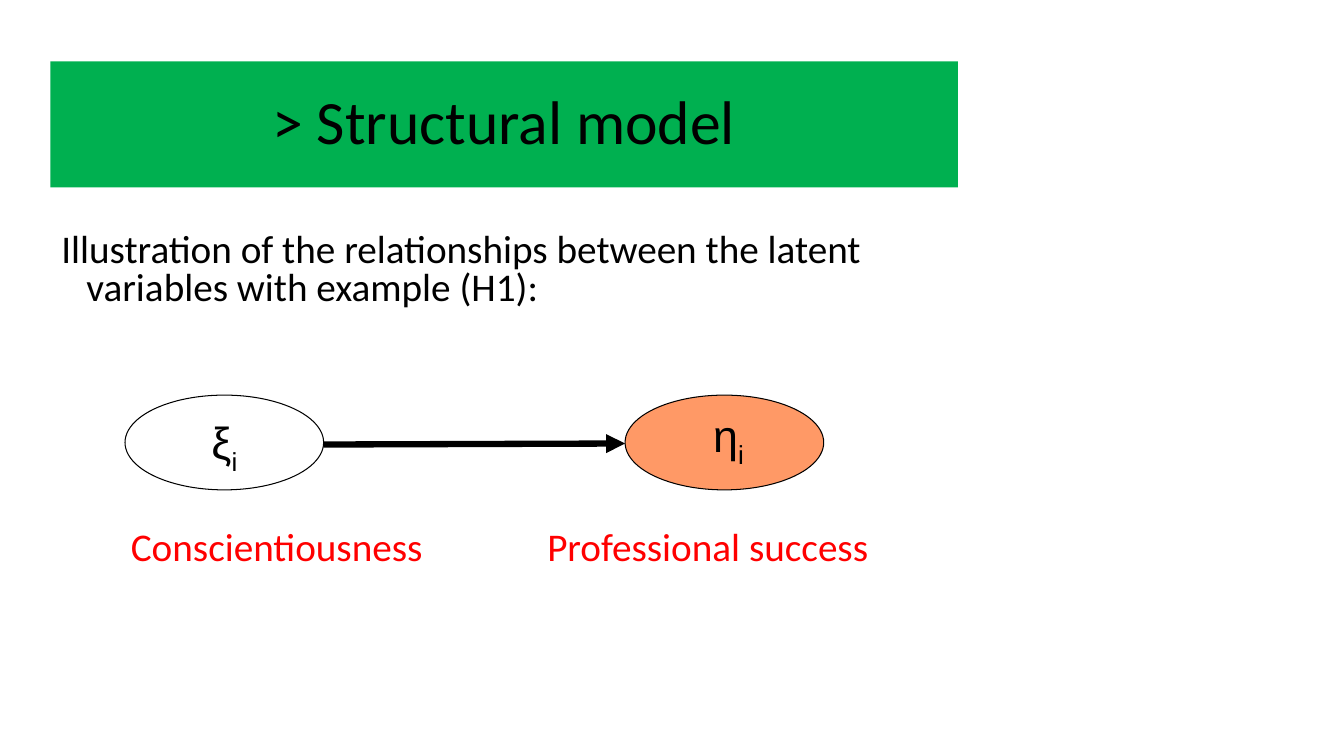
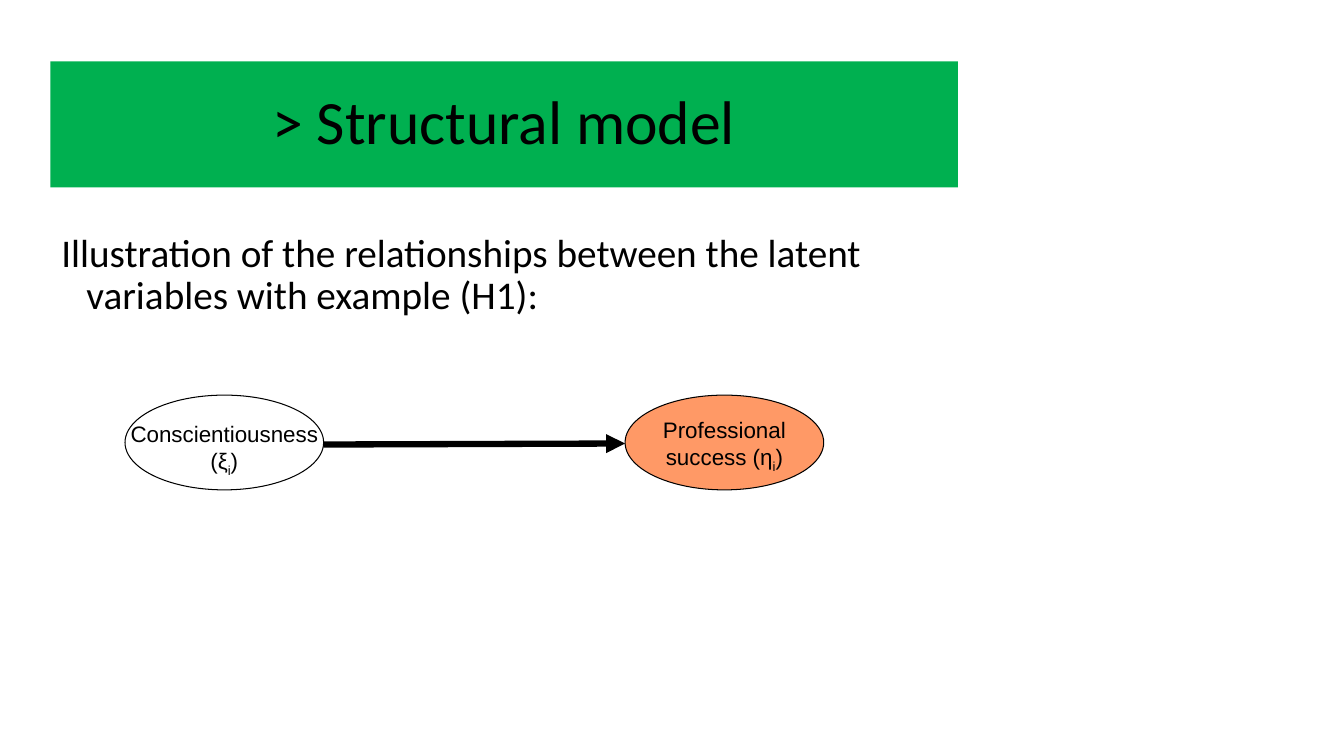
from pptx import Presentation
from pptx.dml.color import RGBColor
from pptx.enum.shapes import MSO_CONNECTOR, MSO_SHAPE
from pptx.enum.text import MSO_ANCHOR, PP_ALIGN
from pptx.oxml.ns import qn
from pptx.util import Inches, Pt
from lxml.etree import SubElement

BLACK, WHITE, GREEN, ORANGE, RED = "000000", "FFFFFF", "00B050", "FF9966", "FF0000"
TITLE = "> Structural model"
INTRO = "Illustration of the relationships between the latent variables with example (H1):"
OVAL_TOP, OVAL_W, OVAL_H = 3.92, 1.97, 0.94
CAUSE_LEFT, EFFECT_LEFT = 1.24, 6.2


def rgb(value):
    return RGBColor.from_string(value)


class Deck:
    heading = {"name": "Calibri", "size": Pt(44)}
    body = {"name": "Calibri", "size": Pt(28)}
    symbol = {"name": "Arial", "size": Pt(32)}
    caption = {"name": "Arial", "size": Pt(16)}

    def __init__(self):
        self.prs = Presentation()
        self.prs.slide_width = Inches(13.33)
        self.prs.slide_height = Inches(7.5)

    def new_slide(self):
        self.s = self.prs.slides.add_slide(self.prs.slide_layouts[6])
        self.title(TITLE)

    def shape(self, kind, box, fill, line=None):
        sp = self.s.shapes.add_shape(kind, *map(Inches, box))
        sp.shadow.inherit = False
        sp.fill.solid()
        sp.fill.fore_color.rgb = rgb(fill)
        if line:
            sp.line.color.rgb = rgb(line)
            sp.line.width = Pt(0.75)
        else:
            sp.line.fill.background()
        return sp

    def add_text(self, tf, runs, style, color=BLACK, **paragraph):
        tf.word_wrap = True
        p = tf.paragraphs[0]
        for key, value in paragraph.items():
            setattr(p, key, value)
        for text, baseline in runs:
            r = p.add_run()
            r.text = text
            for key, value in style.items():
                setattr(r.font, key, value)
            r.font.color.rgb = rgb(color)
            if baseline:
                r._r.get_or_add_rPr().set("baseline", str(baseline * 1000))
        return p

    def textbox(self, box, runs, style, **options):
        tf = self.s.shapes.add_textbox(*map(Inches, box)).text_frame
        return self.add_text(tf, runs, style, **options)

    def title(self, text):
        sp = self.shape(MSO_SHAPE.RECTANGLE, (0.5, 0.61, 9, 1.25), GREEN)
        sp.text_frame.vertical_anchor = MSO_ANCHOR.MIDDLE
        self.add_text(sp.text_frame, [(text, 0)], self.heading,
                      alignment=PP_ALIGN.CENTER, line_spacing=0.9)

    def intro(self, text, spacing):
        p = self.textbox((0.51, 2.27, 9, 1.1), [(text, 0)], self.body,
                         line_spacing=spacing, space_before=Pt(10))
        pPr = p._p.get_or_add_pPr()
        pPr.set("marL", str(Inches(0.25)))
        pPr.set("indent", str(Inches(-0.25)))

    def variable(self, left, fill, box, runs, style):
        self.shape(MSO_SHAPE.OVAL, (left, OVAL_TOP, OVAL_W, OVAL_H), fill, BLACK)
        self.textbox(box, runs, style, alignment=PP_ALIGN.CENTER)

    def arrow(self):
        ends = (CAUSE_LEFT + OVAL_W, 4.41, EFFECT_LEFT, 4.4)
        cx = self.s.shapes.add_connector(MSO_CONNECTOR.STRAIGHT, *map(Inches, ends))
        cx.line.color.rgb = rgb(BLACK)
        cx.line.width = Pt(4.5)
        spPr = cx._element.spPr
        SubElement(spPr.find(qn("a:ln")), qn("a:tailEnd"), type="triangle")
        SubElement(spPr, qn("a:effectLst"))

    def label(self, left, text):
        self.textbox((left, 5.13, 4, 0.6), [(text, 0)], self.body, color=RED)

    def model(self, spacing, style, cause, effect):
        self.new_slide()
        self.intro(INTRO, spacing)
        self.variable(CAUSE_LEFT, WHITE, *cause, style)
        self.variable(EFFECT_LEFT, ORANGE, *effect, style)
        self.arrow()


def main():
    deck = Deck()
    deck.model(0.8, deck.symbol,
               ((1.87, 4.07, 0.71, 0.63), [("ξ", 0), ("i", -25)]),
               ((6.83, 4, 0.79, 0.63), [("η", 0), ("i", -25)]))
    deck.label(1.2, "Conscientiousness")
    deck.label(5.33, "Professional success")
    deck.model(0.9, deck.caption,
               ((1.16, 4.12, 2.13, 0.64),
                [("Conscientiousness(ξ", 0), ("i", -25), (")", 0)]),
               ((EFFECT_LEFT, 4.08, OVAL_W, 0.64),
                [("Professional success (η", 0), ("i", -25), (")", 0)]))
    deck.prs.save("out.pptx")


if __name__ == "__main__":
    main()
